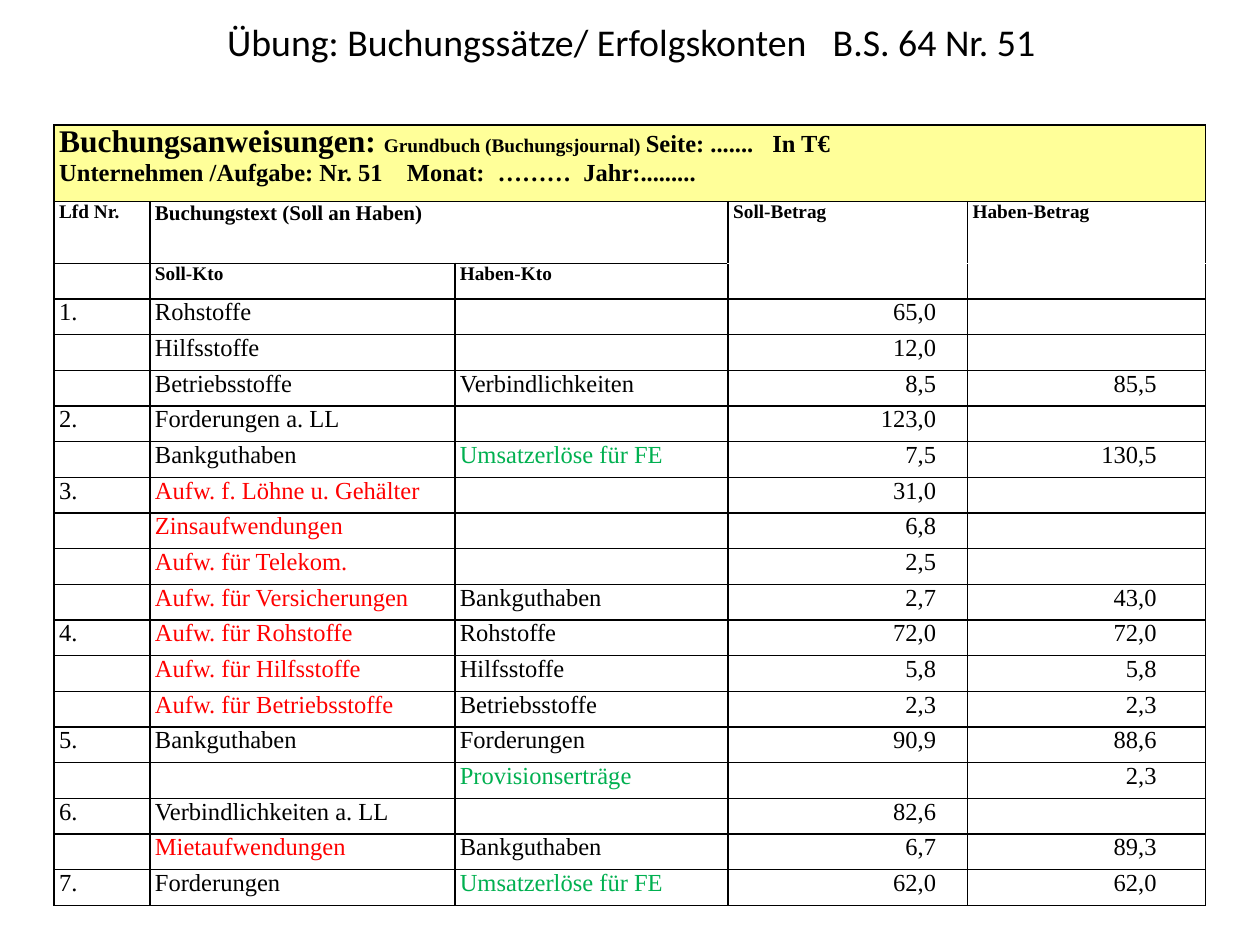
from dataclasses import dataclass

from lxml import etree
from pptx import Presentation
from pptx.dml.color import RGBColor
from pptx.enum.text import MSO_ANCHOR, MSO_AUTO_SIZE, PP_ALIGN
from pptx.oxml.ns import qn
from pptx.util import Inches, Pt

CENTER, LEFT, RIGHT = PP_ALIGN.CENTER, PP_ALIGN.LEFT, PP_ALIGN.RIGHT
MIDDLE = MSO_ANCHOR.MIDDLE
NO_FIT = MSO_AUTO_SIZE.NONE


@dataclass(frozen=True)
class Theme:
    """Fonts, type sizes, colours and line width of the slide."""
    title_font: str = "Calibri"
    table_font: str = "Times New Roman"
    title: float = 21.6
    heading: float = 18
    body: float = 14
    label: float = 12
    small: float = 11
    ink: str = "000000"
    expense: str = "FF0000"
    revenue: str = "00B050"
    band: str = "FFFF99"
    border: float = 1


THEME = Theme()
WIDTH, HEIGHT = 10, 7.5
TABLE_LEFT, TABLE_TOP, TABLE_HEIGHT = 0.43, 0.99, 6.2
COLUMNS = [0.76, 2.42, 2.17, 1.9, 1.89]
HEAD_ROWS = [0.61, 0.49]
INSET = 0.04
AMOUNT_INSETS = {3: 0.25, 4: 0.39}
BAND_TABS = [2.76, 3.48, 4.16, 5.66]

HEADINGS = [
    ["Lfd Nr.", "Buchungstext (Soll an Haben)", "", "Soll-Betrag", "Haben-Betrag"],
    ["", "Soll-Kto", "Haben-Kto", "", ""],
]
ENTRIES = [
    ["1.", "Rohstoffe", "", "65,0", ""],
    ["", "Hilfsstoffe", "", "12,0", ""],
    ["", "Betriebsstoffe", "Verbindlichkeiten", "8,5", "85,5"],
    ["2.", "Forderungen a. LL", "", "123,0", ""],
    ["", "Bankguthaben", "Umsatzerlöse für FE", "7,5", "130,5"],
    ["3.", "Aufw. f. Löhne u. Gehälter", "", "31,0", ""],
    ["", "Zinsaufwendungen", "", "6,8", ""],
    ["", "Aufw. für Telekom.", "", "2,5", ""],
    ["", "Aufw. für Versicherungen", "Bankguthaben", "2,7", "43,0"],
    ["4.", "Aufw. für Rohstoffe", "Rohstoffe", "72,0", "72,0"],
    ["", "Aufw. für Hilfsstoffe", "Hilfsstoffe", "5,8", "5,8"],
    ["", "Aufw. für Betriebsstoffe", "Betriebsstoffe", "2,3", "2,3"],
    ["5.", "Bankguthaben", "Forderungen", "90,9", "88,6"],
    ["", "", "Provisionserträge", "", "2,3"],
    ["6.", "Verbindlichkeiten a. LL", "", "82,6", ""],
    ["", "Mietaufwendungen", "Bankguthaben", "6,7", "89,3"],
    ["7.", "Forderungen", "Umsatzerlöse für FE", "62,0", "62,0"],
]


def account_color(text):
    """Return the colour for an account: expense, revenue or neutral."""
    if "aufw" in text.lower():
        return THEME.expense
    if "erlöse" in text or "erträge" in text:
        return THEME.revenue
    return THEME.ink


def add_span(para, text, size, font=THEME.table_font, color=THEME.ink, bold=False):
    """Append a formatted run to a paragraph."""
    span = para.add_run()
    span.text = text
    span.font.name, span.font.size, span.font.bold = font, Pt(size), bold
    span.font.color.rgb = RGBColor.from_string(color)
    return span


def add_title(page):
    """Place the title and widen the gap before the page reference."""
    box = page.shapes.title
    box.left, box.top = Inches(0.51), Inches(0.13)
    box.width, box.height = Inches(WIDTH * 0.9), Inches(0.39)
    frame = box.text_frame
    frame.auto_size, frame.vertical_anchor = NO_FIT, MIDDLE
    frame.margin_top = frame.margin_bottom = 0
    para = frame.paragraphs[0]
    para.alignment = CENTER
    for text, spacing in [("Übung: Buchungssätze/ Erfolgskonten", 0),
                          (" ", 980), ("B.S. 64 Nr. 51", 0)]:
        span = add_span(para, text, THEME.title, THEME.title_font)
        span.font._element.set("spc", str(spacing))


def draw_borders(cell, sides):
    """Draw solid lines on the given sides of a cell."""
    properties = cell._tc.get_or_add_tcPr()
    for side in sides:
        line = etree.SubElement(properties, qn(f"a:ln{side}"), w=str(Pt(THEME.border)))
        fill = etree.SubElement(line, qn("a:solidFill"))
        etree.SubElement(fill, qn("a:srgbClr"), val=THEME.ink)


def format_cell(cell, row, column):
    """Set the insets, borders and fill of a cell."""
    cell.margin_left = Inches(INSET)
    cell.margin_right = Inches(INSET)
    cell.margin_top = cell.margin_bottom = 0
    open_side = {1: "B", 2: "T"}.get(row) if column in AMOUNT_INSETS else None
    draw_borders(cell, [side for side in "LRTB" if side != open_side])
    if row == 0:
        cell.fill.solid()
        cell.fill.fore_color.rgb = RGBColor.from_string(THEME.band)
    else:
        cell.fill.background()


def fill_cell(cell, text, column, heading_size=None):
    """Write a heading or an entry into a cell."""
    para = cell.text_frame.paragraphs[0]
    para.alignment = LEFT
    if heading_size is None and column in AMOUNT_INSETS:
        para.alignment = RIGHT
        cell.margin_right = Inches(AMOUNT_INSETS[column])
    size = heading_size or THEME.body
    if text:
        add_span(para, text, size, color=account_color(text), bold=bool(heading_size))
    else:
        etree.SubElement(para._p, qn("a:endParaRPr"), sz=str(size * 100))


def fill_band(cell):
    """Write the journal heading across the top of the table."""
    para = cell.text_frame.paragraphs[0]
    tabs = etree.SubElement(para._p.get_or_add_pPr(), qn("a:tabLst"))
    for stop in BAND_TABS:
        etree.SubElement(tabs, qn("a:tab"), pos=str(Inches(stop)), algn="l")
    add_span(para, "Buchungsanweisungen: ", THEME.heading, bold=True)
    add_span(para, "Grundbuch (Buchungsjournal) ", THEME.small, bold=True)
    add_span(para, "Seite: .......\tIn T€", THEME.body, bold=True)
    para.add_line_break()
    add_span(para, "Unternehmen /Aufgabe: Nr. 51\tMonat:\t………\tJahr:.........",
             THEME.body, bold=True)


def add_journal(page):
    """Build the journal table with its headings and entries."""
    rows = 1 + len(HEADINGS) + len(ENTRIES)
    table = page.shapes.add_table(
        rows, len(COLUMNS), Inches(TABLE_LEFT), Inches(TABLE_TOP),
        Inches(sum(COLUMNS)), Inches(TABLE_HEIGHT)).table
    table.first_row = table.horz_banding = False
    for column, width in zip(table.columns, COLUMNS):
        column.width = Inches(width)
    entry_height = (TABLE_HEIGHT - sum(HEAD_ROWS)) / (rows - len(HEAD_ROWS))
    for index, row in enumerate(table.rows):
        row.height = Inches(HEAD_ROWS[index] if index < len(HEAD_ROWS) else entry_height)
        for column, cell in enumerate(row.cells):
            format_cell(cell, index, column)
    table.cell(0, 0).merge(table.cell(0, len(COLUMNS) - 1))
    table.cell(1, 1).merge(table.cell(1, 2))
    fill_band(table.cell(0, 0))
    for index, texts in enumerate(HEADINGS + ENTRIES, start=1):
        for column, text in enumerate(texts):
            size = THEME.small if index <= len(HEADINGS) else None
            if (index, column) == (1, 1):
                size = THEME.label
            fill_cell(table.cell(index, column), text, column, size)


def main():
    """Create the deck and save it."""
    deck = Presentation()
    deck.slide_width, deck.slide_height = Inches(WIDTH), Inches(HEIGHT)
    page = deck.slides.add_slide(deck.slide_layouts[5])
    add_title(page)
    add_journal(page)
    deck.save("out.pptx")


if __name__ == "__main__":
    main()
